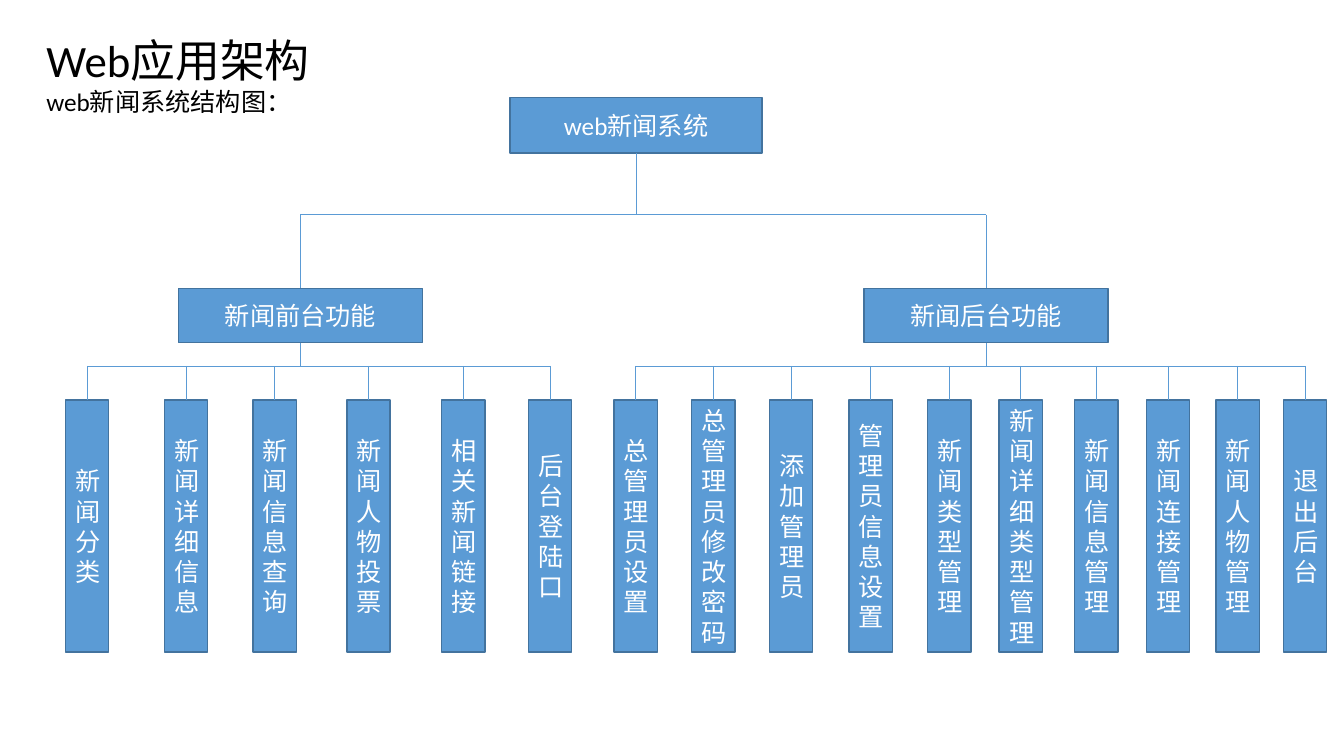
from collections import namedtuple

from lxml import etree
from pptx import Presentation
from pptx.dml.color import RGBColor
from pptx.enum.shapes import MSO_CONNECTOR as Line, MSO_SHAPE as Preset
from pptx.enum.text import MSO_ANCHOR as Anchor, MSO_AUTO_SIZE as Fit, PP_ALIGN as Align
from pptx.oxml.ns import qn
from pptx.util import Inches, Pt

Box = namedtuple("Box", "left top width height")

FONT = "Calibri"
BLUE, EDGE, WHITE, BLACK = "5B9BD5", "43739E", "FFFFFF", "000000"
LEAF_WIDTH, LEAF_HEIGHT = 0.43, 2.5
HEAD_WIDTH, HEAD_HEIGHT = 2.42, 0.54
RAIL_DROP, LEAF_DROP = 0.77, 1.11  # measured from the top of a branch

# Leaf names with their distance from the left of the branch
FRONT_LEAVES = [
    ("新闻分类", 0), ("新闻详细信息", 0.98), ("新闻信息查询", 1.86),
    ("新闻人物投票", 2.79), ("相关新闻链接", 3.73), ("后台登陆口", 4.59),
]
BACK_LEAVES = [
    ("总管理员设置", 0), ("总管理员修改密码", 0.77), ("添加管理员", 1.54),
    ("管理员信息设置", 2.33), ("新闻类型管理", 3.11), ("新闻详细类型管理", 3.82),
    ("新闻信息管理", 4.57), ("新闻连接管理", 5.28), ("新闻人物管理", 5.97),
    ("退出后台", 6.64),
]


def color(value):
    return RGBColor.from_string(value)


def center(box):
    return box.left + box.width / 2


def place(shape, box):
    shape.left, shape.top, shape.width, shape.height = map(Inches, box)


def add_span(para, text, size, tint):
    span = para.add_run()
    span.text = text
    span.font.name = FONT
    span.font.size = Pt(size)
    span.font.color.rgb = color(tint)


def add_node(page, box, text):
    node = page.shapes.add_shape(Preset.RECTANGLE, *map(Inches, box))
    node.shadow.inherit = False
    node.fill.solid()
    node.fill.fore_color.rgb = color(BLUE)
    node.line.color.rgb = color(EDGE)
    node.line.width = Pt(1)
    frame = node.text_frame
    frame.word_wrap = True
    frame.vertical_anchor = Anchor.MIDDLE
    para = frame.paragraphs[0]
    para.alignment = Align.CENTER
    add_span(para, text, 18, WHITE)


def add_line(page, x1, y1, x2, y2):
    line = page.shapes.add_connector(Line.STRAIGHT, *map(Inches, (x1, y1, x2, y2)))
    line.line.color.rgb = color(BLUE)
    line.line.width = Pt(0.5)
    etree.SubElement(line._element.spPr, qn("a:effectLst"))


def draw_heading(page, box):
    title = page.shapes.title
    place(title, box)
    frame = title.text_frame
    frame.word_wrap = True
    frame.auto_size = Fit.NONE
    frame.vertical_anchor = Anchor.TOP
    lines = [("Web应用架构", 32), ("web新闻系统结构图：", 18)]
    for index, (text, size) in enumerate(lines):
        para = frame.add_paragraph() if index else frame.paragraphs[0]
        para.alignment = Align.LEFT
        add_span(para, text, size, BLACK)


def draw_root(page, box, branch_centers, rail, branch_top):
    add_node(page, box, "web新闻系统")
    add_line(page, center(box), box.top + box.height, center(box), rail)
    add_line(page, branch_centers[0], rail, branch_centers[-1], rail)
    for x in branch_centers:
        add_line(page, x, rail, x, branch_top)


def draw_branch(page, box, name, head_offset, leaves):
    """Draw a head with its leaves and return the head's center."""
    head = Box(box.left + head_offset, box.top, HEAD_WIDTH, HEAD_HEIGHT)
    rail, leaf_top = box.top + RAIL_DROP, box.top + LEAF_DROP
    add_node(page, head, name)
    add_line(page, center(head), head.top + head.height, center(head), rail)

    # Leaves hang from the rail
    centers = []
    for text, offset in leaves:
        leaf = Box(box.left + offset, leaf_top, LEAF_WIDTH, LEAF_HEIGHT)
        add_node(page, leaf, text)
        add_line(page, center(leaf), rail, center(leaf), leaf_top)
        centers.append(center(leaf))
    add_line(page, centers[0], rail, centers[-1], rail)
    return center(head)


deck = Presentation()
deck.slide_width, deck.slide_height = Inches(13.33), Inches(7.5)
page = deck.slides.add_slide(deck.slide_layouts[5])

# Heading
draw_heading(page, Box(0.36, 0.27, 4.46, 0.94))

# Tree
front = Box(0.65, 2.86, 5.02, 3.61)
back = Box(6.09, 2.86, 7.07, 3.61)
branch_centers = [
    draw_branch(page, front, "新闻前台功能", 1.12, FRONT_LEAVES),
    draw_branch(page, back, "新闻后台功能", 2.48, BACK_LEAVES),
]
draw_root(page, Box(5.06, 0.97, 2.5, 0.55), branch_centers, 2.13, front.top)

deck.save("out.pptx")
